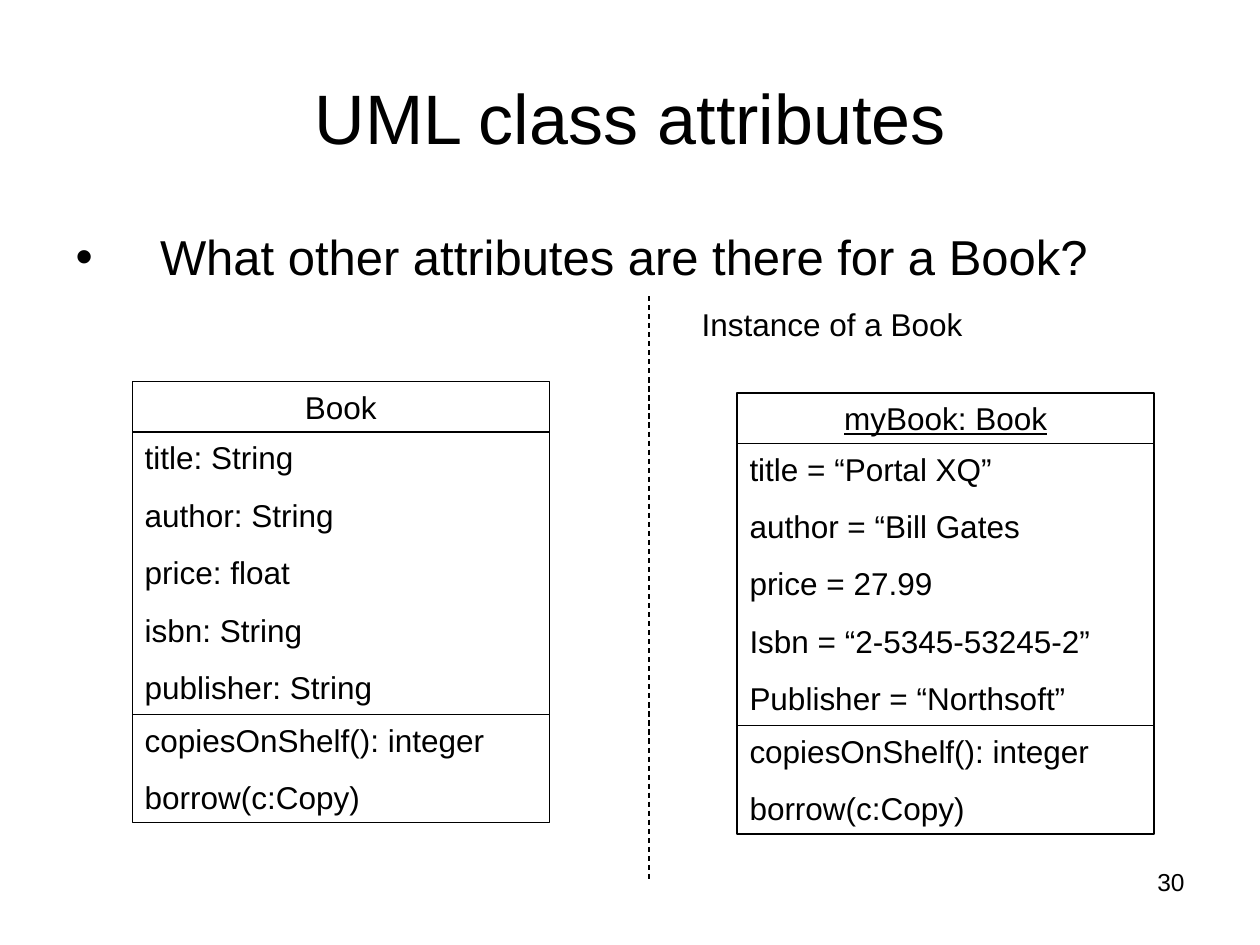
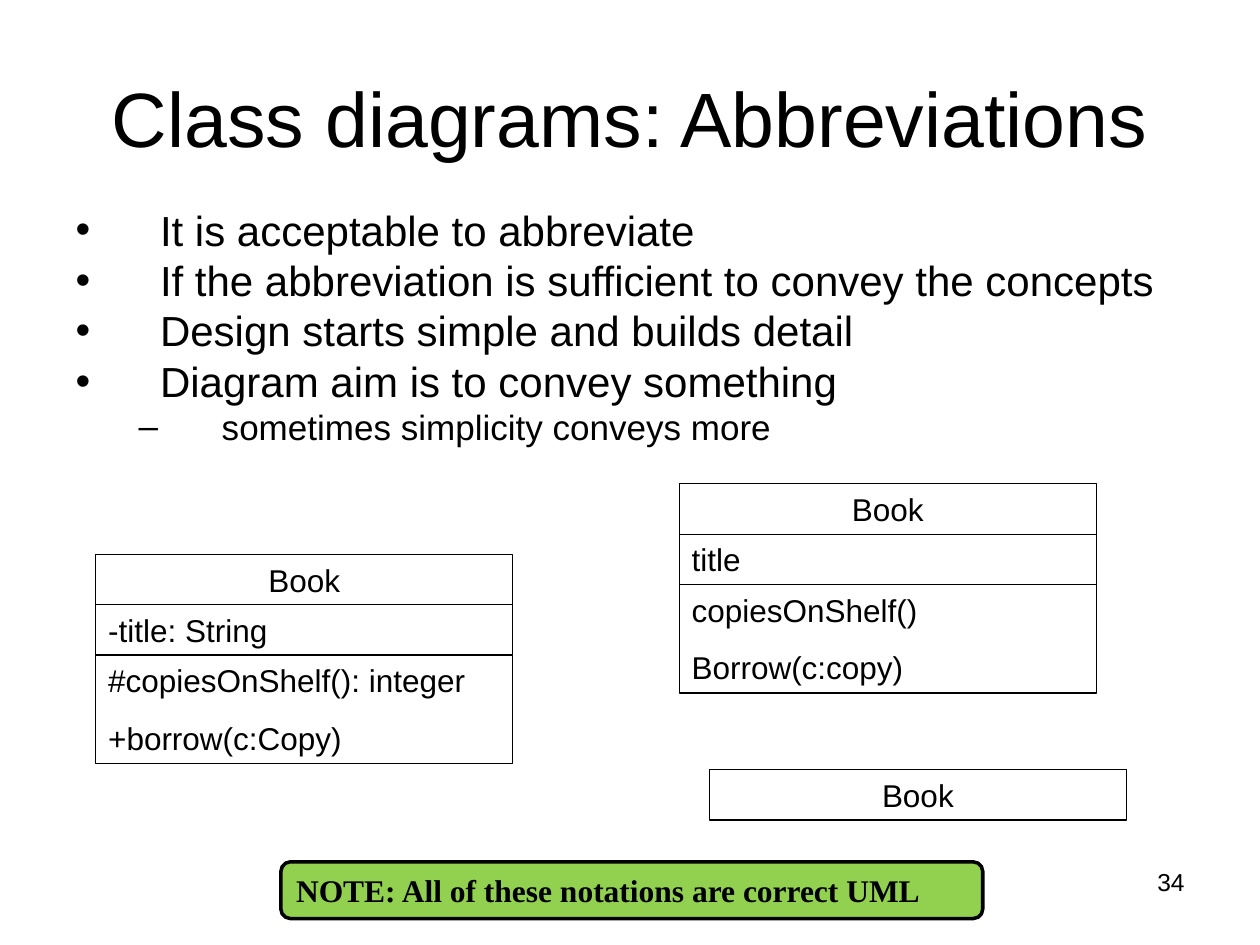
from dataclasses import dataclass

import lxml.etree
import pptx
import pptx.dml.color
import pptx.enum.dml
import pptx.enum.shapes
import pptx.enum.text
import pptx.oxml.ns
import pptx.shapes.autoshape
import pptx.slide
import pptx.text.text
import pptx.util

Inches = pptx.util.Inches
Pt = pptx.util.Pt
Align = pptx.enum.text.PP_ALIGN
Anchor = pptx.enum.text.MSO_ANCHOR
Shape = pptx.enum.shapes.MSO_SHAPE
qn = pptx.oxml.ns.qn

COLORS = {"ink": "000000", "paper": "FFFFFF", "note": "92D050"}
SANS, SERIF = "Arial", "Times New Roman"
LABEL_SIZE = 18
LABEL_GAP = Pt(11.2)
CLASS_WIDTH = 3.31
ROW_HEIGHT, ROW_PITCH = 0.4, 0.46


@dataclass(frozen=True)
class ClassBox:
    """A UML class or instance: a name over compartments of member lines."""
    left: float
    top: float
    name: str
    compartments: tuple[tuple[str, ...], ...] = ()
    underlined: bool = False


@dataclass(frozen=True)
class Bullet:
    text: str
    size: int
    level: int = 0


@dataclass(frozen=True)
class BulletStyle:
    symbol: str
    margin: float
    hanging: float


BULLET_STYLES = (BulletStyle("•", 0.67, 0.67), BulletStyle("–", 1.16, 0.66))


def color(name: str) -> pptx.dml.color.RGBColor:
    return pptx.dml.color.RGBColor.from_string(COLORS[name])


def set_font(para: pptx.text.text._Paragraph, size: int, face: str = SANS,
             bold: bool = False, underlined: bool = False) -> None:
    font = para.font
    font.name, font.size = face, Pt(size)
    font.bold, font.underline = bold, underlined
    font.color.rgb = color("ink")


def write_lines(frame: pptx.text.text.TextFrame, lines: tuple[str, ...],
                size: int = LABEL_SIZE, align: Align = Align.LEFT,
                face: str = SANS, bold: bool = False,
                underlined: bool = False) -> None:
    frame.word_wrap = True
    frame.vertical_anchor = Anchor.TOP
    for index, line in enumerate(lines):
        para = frame.add_paragraph() if index else frame.paragraphs[0]
        para.text, para.alignment = line, align
        if index:
            para.space_before = LABEL_GAP
        set_font(para, size, face, bold, underlined)


def add_label(page: pptx.slide.Slide, left: float, top: float, width: float,
              height: float, text: str, size: int = LABEL_SIZE,
              align: Align = Align.LEFT) -> None:
    box = page.shapes.add_textbox(Inches(left), Inches(top), Inches(width), Inches(height))
    write_lines(box.text_frame, (text,), size, align)


def add_panel(page: pptx.slide.Slide, kind: Shape, left: float, top: float,
              width: float, height: float, fill: str = "paper",
              line_width: float = 0.75) -> pptx.shapes.autoshape.Shape:
    """Add an outlined, filled shape without a shadow."""
    panel = page.shapes.add_shape(
        kind, Inches(left), Inches(top), Inches(width), Inches(height))
    panel.shadow.inherit = False
    panel.fill.solid()
    panel.fill.fore_color.rgb = color(fill)
    panel.line.color.rgb = color("ink")
    panel.line.width = Pt(line_width)
    return panel


def add_class_box(page: pptx.slide.Slide, box: ClassBox) -> None:
    top = box.top
    for index, lines in enumerate(((box.name,), *box.compartments)):
        height = ROW_HEIGHT + ROW_PITCH * (len(lines) - 1)
        panel = add_panel(page, Shape.RECTANGLE, box.left, top, CLASS_WIDTH, height)
        is_name = index == 0
        write_lines(panel.text_frame, lines,
                    align=Align.LEFT if index else Align.CENTER,
                    underlined=is_name and box.underlined)
        top += height


def add_divider(page: pptx.slide.Slide, x: float, top: float, bottom: float) -> None:
    line = page.shapes.add_connector(
        pptx.enum.shapes.MSO_CONNECTOR.STRAIGHT,
        Inches(x), Inches(top), Inches(x), Inches(bottom))
    line.line.color.rgb = color("ink")
    line.line.width = Pt(0.75)
    line.line.dash_style = pptx.enum.dml.MSO_LINE.DASH
    lxml.etree.SubElement(line._element.spPr, qn("a:effectLst"))


def set_bullet(para: pptx.text.text._Paragraph, style: BulletStyle) -> None:
    properties = para._p.get_or_add_pPr()
    properties.set("marL", str(Inches(style.margin)))
    properties.set("indent", str(-Inches(style.hanging)))
    bullet_color = lxml.etree.SubElement(properties, qn("a:buClr"))
    lxml.etree.SubElement(bullet_color, qn("a:srgbClr"), val=COLORS["ink"])
    lxml.etree.SubElement(properties, qn("a:buFont"), typeface=SANS)
    lxml.etree.SubElement(properties, qn("a:buChar"), char=style.symbol)


def add_page(deck: pptx.presentation.Presentation, title: str, title_size: int,
             number: int, body_top: float, bullets: tuple[Bullet, ...]) -> pptx.slide.Slide:
    """Add a page with its title, bullet list and page number."""
    page = deck.slides.add_slide(deck.slide_layouts[1])
    heading, body = page.shapes.title, page.placeholders[1]

    heading.left, heading.top = Inches(0.5), Inches(0.3)
    heading.width, heading.height = Inches(9), Inches(1.25)
    write_lines(heading.text_frame, (title,), title_size, Align.CENTER)
    heading.text_frame.vertical_anchor = Anchor.MIDDLE

    body.left, body.top = Inches(0.5), Inches(body_top)
    body.width, body.height = Inches(8.83), Inches(7.06 - body_top)
    frame = body.text_frame
    frame.auto_size = pptx.enum.text.MSO_AUTO_SIZE.NONE
    for index, bullet in enumerate(bullets):
        para = frame.add_paragraph() if index else frame.paragraphs[0]
        para.text, para.level = bullet.text, bullet.level
        para.space_before = Pt(0)
        set_bullet(para, BULLET_STYLES[bullet.level])
        set_font(para, bullet.size)

    add_label(page, 7.17, 6.83, 2.33, 0.52, str(number), 14, Align.RIGHT)
    return page


def build_attributes_page(deck: pptx.presentation.Presentation) -> None:
    page = add_page(deck, "UML class attributes", 40, 30, 1.75,
                    (Bullet("What other attributes are there for a Book?", 28),))
    methods = ("copiesOnShelf(): integer", "borrow(c:Copy)")
    add_class_box(page, ClassBox(1.05, 3.03, "Book", (
        ("title: String", "author: String", "price: float",
         "isbn: String", "publisher: String"), methods)))
    add_class_box(page, ClassBox(5.85, 3.12, "myBook: Book", (
        ("title = “Portal XQ”", "author = “Bill Gates", "price = 27.99",
         "Isbn = “2-5345-53245-2”", "Publisher = “Northsoft”"), methods),
        underlined=True))
    add_divider(page, 5.15, 2.35, 7)
    add_label(page, 5.47, 2.37, 2.46, ROW_HEIGHT, "Instance of a Book")


def build_abbreviations_page(deck: pptx.presentation.Presentation) -> None:
    page = add_page(deck, "Class diagrams: Abbreviations", 44, 34, 1.57, (
        Bullet("It is acceptable to abbreviate", 24),
        Bullet("If the abbreviation is sufficient to convey the concepts", 24),
        Bullet("Design starts simple and builds detail", 24),
        Bullet("Diagram aim is to convey something", 24),
        Bullet("sometimes simplicity conveys more", 20, level=1)))
    for box in (
        ClassBox(0.76, 4.4, "Book", (
            ("-title: String",), ("#copiesOnShelf(): integer", "+borrow(c:Copy)"))),
        ClassBox(5.39, 3.84, "Book", (
            ("title",), ("copiesOnShelf()", "Borrow(c:copy)"))),
        ClassBox(5.63, 6.11, "Book"),
    ):
        add_class_box(page, box)
    note = add_panel(page, Shape.ROUNDED_RECTANGLE, 2.23, 6.84, 5.57, 0.45, "note", 2)
    write_lines(note.text_frame, ("NOTE: All of these notations are correct UML",),
                face=SERIF, bold=True)


def main() -> None:
    deck = pptx.Presentation()
    deck.slide_width, deck.slide_height = Inches(10), Inches(7.5)
    build_attributes_page(deck)
    build_abbreviations_page(deck)
    deck.save("out.pptx")


if __name__ == "__main__":
    main()
